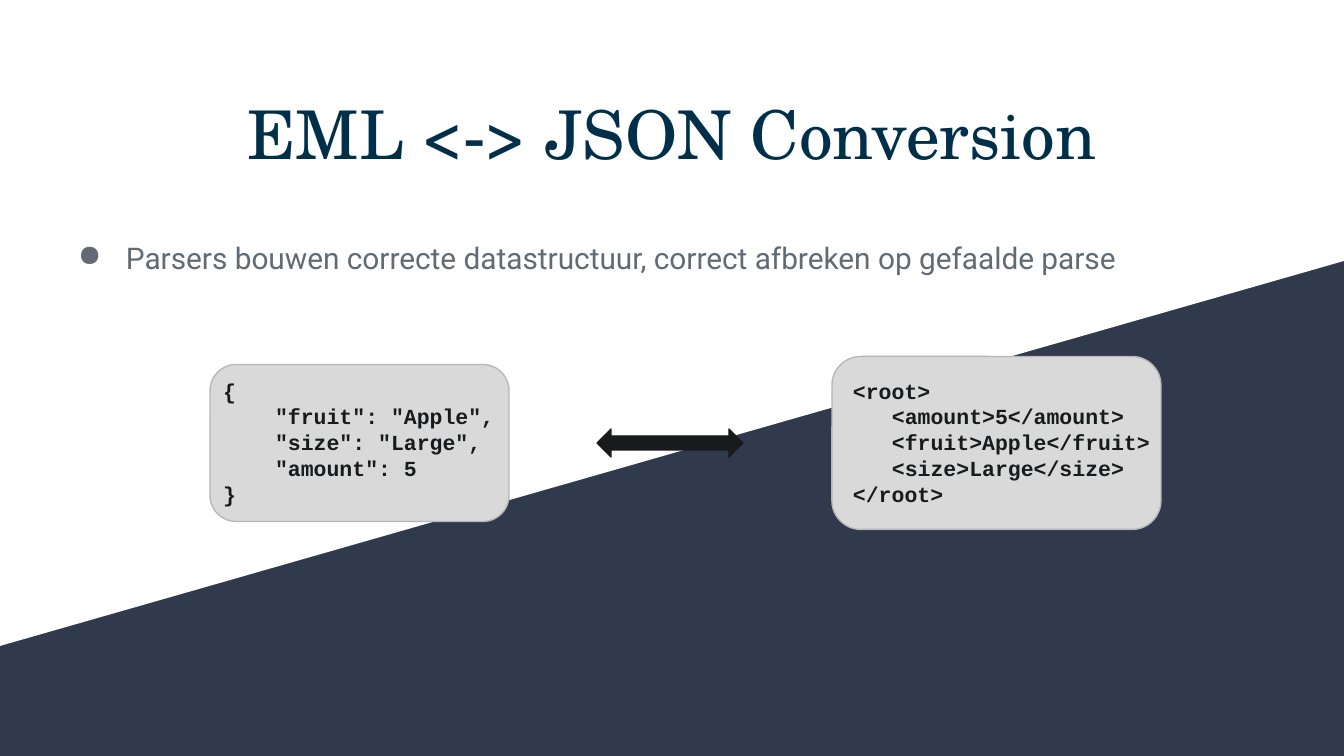
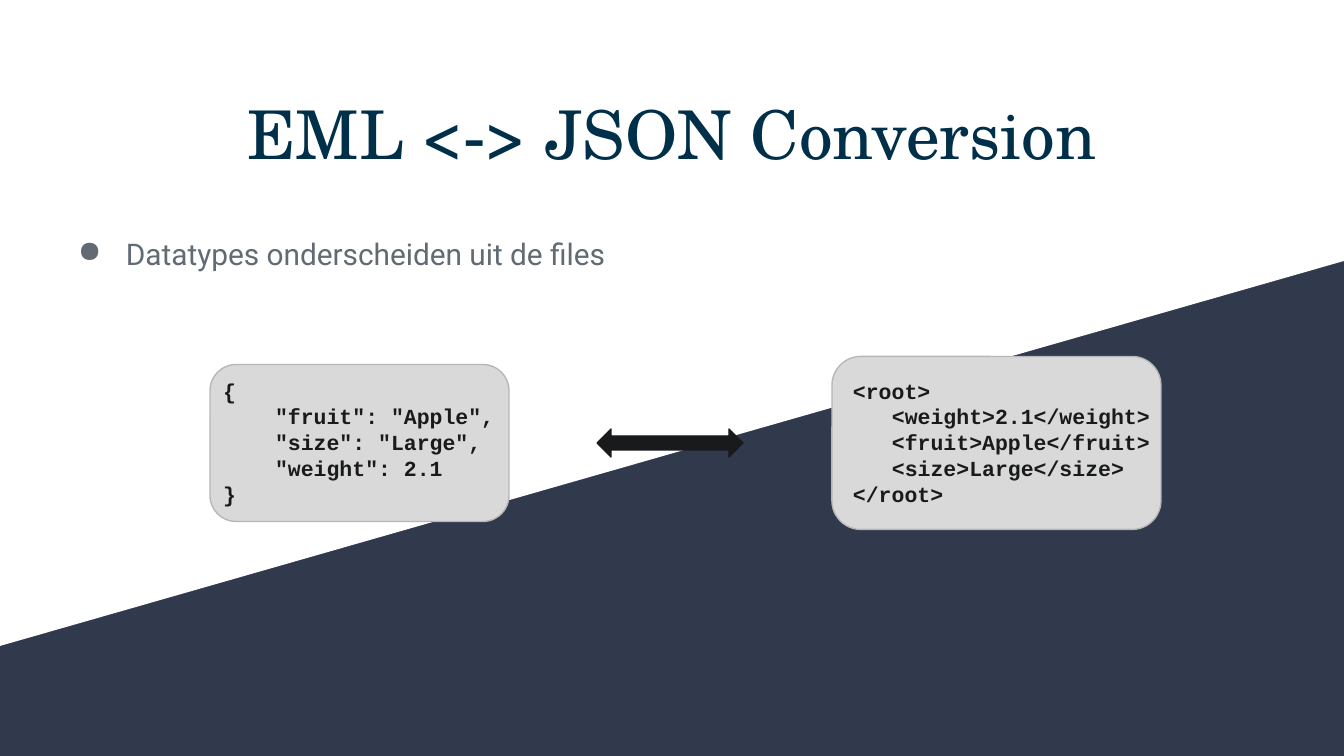
"""Build two slides on converting between EML and JSON."""
from lxml import etree
from pptx import Presentation
from pptx.dml.color import RGBColor
from pptx.enum.shapes import MSO_SHAPE
from pptx.enum.text import MSO_AUTO_SIZE, PP_ALIGN
from pptx.oxml.ns import qn
from pptx.util import Pt

ROUNDED = MSO_SHAPE.ROUNDED_RECTANGLE
DOUBLE_ARROW = MSO_SHAPE.LEFT_RIGHT_ARROW
GROW = MSO_AUTO_SIZE.SHAPE_TO_FIT_TEXT
CENTER = PP_ALIGN.CENTER

NAVY = RGBColor(0x31, 0x39, 0x4D)
WHITE = RGBColor(0xFF, 0xFF, 0xFF)
TITLE_BLUE = RGBColor(0x00, 0x2F, 0x4A)
SLATE = RGBColor(0x62, 0x6B, 0x73)
CARD_GRAY = RGBColor(0xD9, 0xD9, 0xD9)
CARD_EDGE = RGBColor(0xB7, 0xB7, 0xB7)
INK = RGBColor(0x18, 0x1A, 0x1B)

TITLE = "EML <-> JSON Conversion"
SLIDES = [
    {
        "point": "Parsers bouwen correcte datastructuur, correct afbreken op gefaalde parse",
        "point_top": 227,
        "point_inset": 13,
        "json": ['"fruit": "Apple",', '"size": "Large",', '"amount": 5'],
        "eml": ["<amount>5</amount>", "<fruit>Apple</fruit>", "<size>Large</size>"],
    },
    {
        "point": "Datatypes onderscheiden uit de files",
        "point_top": 200,
        "point_inset": 49,
        "json": ['"fruit": "Apple",', '"size": "Large",', '"weight": 2.1'],
        "eml": ["<weight>2.1</weight>", "<fruit>Apple</fruit>", "<size>Large</size>"],
    },
]
CODE_CARDS = [
    {"key": "json", "open": "{", "close": "}", "indent": 52,
     "left": 210, "width": 299, "height": 157, "text_left": 210, "text_width": 313},
    {"key": "eml", "open": "<root>", "close": "</root>", "indent": 39,
     "left": 832, "width": 329, "height": 173, "text_left": 840, "text_width": 340},
]

WIDTH, HEIGHT = 1344, 756
EMU_PER_PX = 9144000 / WIDTH
MIDDLE = 443
CODE_HEIGHT = 157
INSET = 13
BAND = [(0, 0), (WIDTH, 0), (WIDTH, 261), (0, 646)]


def px(length):
    return round(length * EMU_PER_PX)


def paint(shape, fill, line=None):
    shape.shadow.inherit = False
    shape.fill.solid()
    shape.fill.fore_color.rgb = fill
    if line is None:
        shape.line.fill.background()
    else:
        shape.line.color.rgb = line
        shape.line.width = Pt(0.75)


def add_text(slide, box, text, font, size, color, bold=False, top_inset=INSET):
    label = slide.shapes.add_textbox(*map(px, box))
    frame = label.text_frame
    frame.word_wrap = True
    frame.margin_left = frame.margin_right = frame.margin_bottom = px(INSET)
    frame.margin_top = px(top_inset)
    frame.text = text
    for paragraph in frame.paragraphs:
        for run in paragraph.runs:
            run.font.name = font
            run.font.size = Pt(size)
            run.font.color.rgb = color
            run.font.bold = bold
    return frame


def indent(paragraph, margin, hanging=0):
    properties = paragraph._p.get_or_add_pPr()
    properties.set("marL", str(px(margin)))
    properties.set("indent", str(px(-hanging)))
    return properties


def add_bullet(paragraph, color):
    properties = indent(paragraph, 67, 48)
    bullet_color = etree.SubElement(properties, qn("a:buClr"))
    etree.SubElement(bullet_color, qn("a:srgbClr"), val=str(color))
    etree.SubElement(properties, qn("a:buChar"), char="●")


def add_centered(slide, preset, left, width, height, fill, line):
    shape = slide.shapes.add_shape(
        preset, px(left), px(MIDDLE - height / 2), px(width), px(height))
    paint(shape, fill, line)


def add_code_card(slide, card, body):
    add_centered(slide, ROUNDED, card["left"], card["width"], card["height"],
                 CARD_GRAY, CARD_EDGE)
    box = (card["text_left"], MIDDLE - CODE_HEIGHT / 2, card["text_width"], CODE_HEIGHT)
    code = "\n".join([card["open"], *body, card["close"]])
    frame = add_text(slide, box, code, "Courier New", 11.5, INK, bold=True)
    frame.auto_size = GROW
    for paragraph in frame.paragraphs[1:-1]:
        indent(paragraph, card["indent"])


def add_base(slide):
    builder = slide.shapes.build_freeform(*BAND[0], scale=EMU_PER_PX)
    builder.add_line_segments(BAND[1:], close=True)
    paint(builder.convert_to_shape(), WHITE)
    title = add_text(slide, (46, 79, 1252, 188), TITLE, "TeX Gyre Schola", 36, TITLE_BLUE)
    title.paragraphs[0].alignment = CENTER


def add_conversion_slide(prs, content):
    slide = prs.slides.add_slide(prs.slide_layouts[6])
    add_base(slide)
    point = add_text(slide, (46, content["point_top"], 1101, 109), content["point"],
                     "Roboto", 16, SLATE, top_inset=content["point_inset"])
    add_bullet(point.paragraphs[0], SLATE)
    for card in CODE_CARDS:
        add_code_card(slide, card, content[card["key"]])
    add_centered(slide, DOUBLE_ARROW, 597, 146, 28, INK, INK)


def main():
    prs = Presentation()
    prs.slide_width, prs.slide_height = px(WIDTH), px(HEIGHT)
    background = prs.slide_master.background.fill
    background.solid()
    background.fore_color.rgb = NAVY
    for content in SLIDES:
        add_conversion_slide(prs, content)
    prs.save("out.pptx")


if __name__ == "__main__":
    main()
